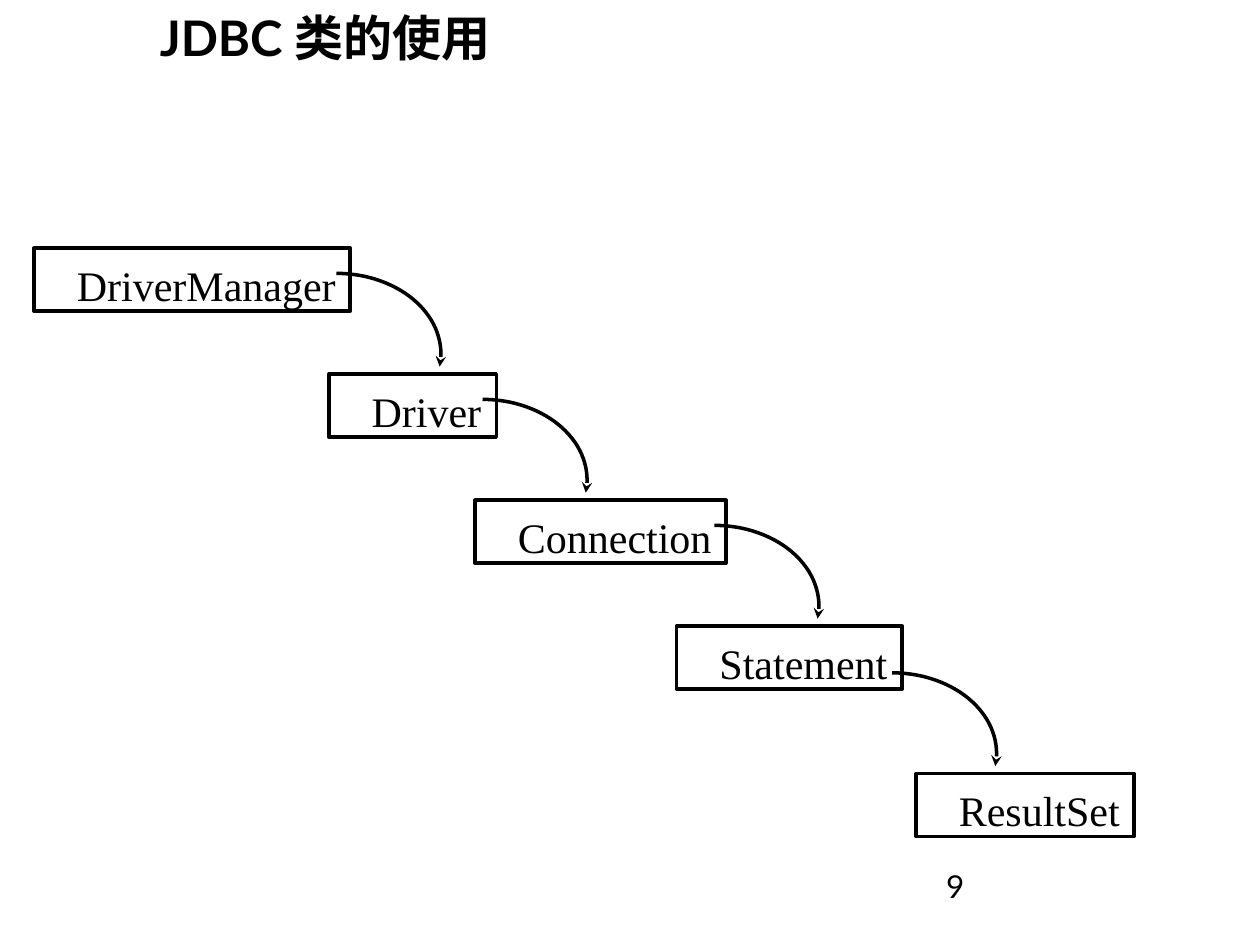
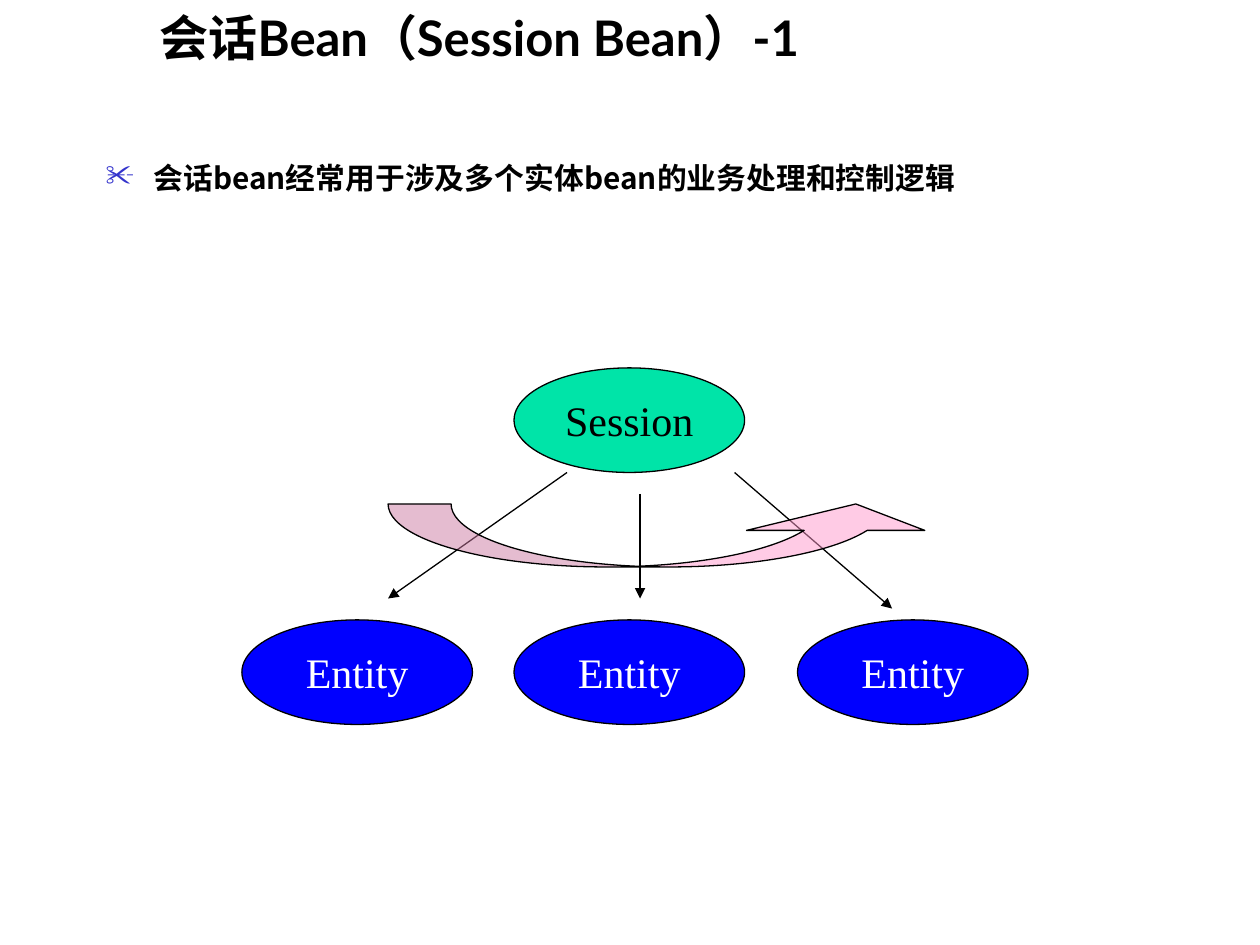
import math
from dataclasses import dataclass

import pptx
import pptx.dml.color
import pptx.enum.shapes
import pptx.enum.text
import pptx.oxml.ns
import pptx.oxml.xmlchemy
import pptx.util
from pptx.util import Inches

SHAPE = pptx.enum.shapes.MSO_SHAPE
ANCHOR = pptx.enum.text.MSO_ANCHOR
ALIGN = pptx.enum.text.PP_ALIGN


@dataclass(frozen=True)
class Theme:
    ink: str = "000000"
    paper: str = "FFFFFF"
    bullet: str = "3333CC"
    session: str = "00E4A8"
    entity: str = "0000FF"
    swoosh: str = "FF99CC"
    heading_font: str = "Lato"
    asian_font: str = "Noto Sans CJK SC"
    diagram_font: str = "Times New Roman"
    title_size: float = 28
    body_size: float = 17
    label_size: float = 24
    number_size: float = 18
    thin: float = 0.75
    thick: float = 2


THEME = Theme()


def color(code):
    return pptx.dml.color.RGBColor.from_string(code)


def add_element(parent, tag, **attributes):
    element = pptx.oxml.xmlchemy.OxmlElement(tag)
    for name, value in attributes.items():
        element.set(name, value)
    parent.append(element)
    return element


def write(shape, text, size, font, ink=THEME.ink, bold=False):
    para = shape.text_frame.paragraphs[0]
    para.text = text
    for span in para.runs:
        span.font.size = pptx.util.Pt(size)
        span.font.name = font
        span.font.bold = bold
        span.font.color.rgb = color(ink)
        add_element(span.font._element, "a:ea", typeface=THEME.asian_font)
    return para


def set_line(shape, width, head=None):
    shape.line.color.rgb = color(THEME.ink)
    shape.line.width = pptx.util.Pt(width)
    if head:
        add_element(shape.line._get_or_add_ln(), "a:tailEnd", type=head)


def set_fill(shape, code=None):
    shape.shadow.inherit = False
    if code:
        shape.fill.solid()
        shape.fill.fore_color.rgb = color(code)
    else:
        shape.fill.background()


def add_text_box(page, left, top, width, height, anchor=ANCHOR.TOP):
    box = page.shapes.add_textbox(Inches(left), Inches(top), Inches(width), Inches(height))
    box.text_frame.word_wrap = True
    box.text_frame.vertical_anchor = anchor
    return box


def add_title(page, text):
    box = add_text_box(page, 1.17, -0.33, 8.5, 1.25, ANCHOR.MIDDLE)
    write(box, text, THEME.title_size, THEME.heading_font, bold=True)


def add_page_number(page, number):
    box = add_text_box(page, 7.17, 6.83, 2.33, 0.5)
    box.text_frame.margin_left = Inches(0.34)
    write(box, number, THEME.number_size, THEME.heading_font)


def add_bullet(page, text):
    box = add_text_box(page, 0.74, 1.25, 7.64, 0.65)
    para = write(box, text, THEME.body_size, THEME.asian_font, bold=True)
    para.line_spacing = 0.9
    properties = para._p.get_or_add_pPr()
    properties.set("marL", str(Inches(0.38)))
    properties.set("indent", str(-Inches(0.38)))
    bullet_color = add_element(properties, "a:buClr")
    add_element(bullet_color, "a:srgbClr", val=THEME.bullet)
    add_element(properties, "a:buChar", char="✂")


def add_class_box(page, name, left, top, width):
    box = page.shapes.add_shape(
        SHAPE.RECTANGLE, Inches(left), Inches(top), Inches(width), Inches(0.5))
    set_fill(box)
    set_line(box, THEME.thick)
    frame = box.text_frame
    frame.word_wrap = False
    frame.vertical_anchor = ANCHOR.TOP
    frame.margin_left = Inches(0.34)
    frame.margin_top = Inches(0.09)
    write(box, name, THEME.label_size, THEME.diagram_font).alignment = ALIGN.LEFT


def add_curved_arrow(page, left, top, width=0.83, height=0.64, steps=32):
    sweep = math.radians(99)
    points = [
        (Inches(left + width * math.sin(sweep * step / steps)),
         Inches(top + height * (1 - math.cos(sweep * step / steps))))
        for step in range(steps + 1)
    ]
    builder = page.shapes.build_freeform(*points[0])
    builder.add_line_segments(points[1:], close=False)
    arrow = builder.convert_to_shape()
    set_fill(arrow)
    set_line(arrow, THEME.thick, "stealth")


def add_class_chain(page):
    classes = [
        ("DriverManager", 0.27, 1.97, 2.51),
        ("Driver", 2.61, 2.97, 1.33),
        ("Connection", 3.77, 3.97, 1.99),
        ("Statement", 5.37, 4.97, 1.79),
        ("ResultSet", 7.27, 6.14, 1.73),
    ]
    for entry in classes:
        add_class_box(page, *entry)
    arrow_lefts = [2.67, 3.83, 5.67, 7.08]
    for left, (_, _, target_top, _) in zip(arrow_lefts, classes[1:]):
        add_curved_arrow(page, left, target_top - 0.8)


def add_bean(group, name, left, top, fill, ink):
    bean = group.shapes.add_shape(
        SHAPE.OVAL, Inches(left), Inches(top), Inches(1.83), Inches(0.83))
    set_fill(bean, fill)
    set_line(bean, THEME.thin)
    bean.text_frame.word_wrap = False
    bean.text_frame.vertical_anchor = ANCHOR.MIDDLE
    write(bean, name, THEME.label_size, THEME.diagram_font, ink).alignment = ALIGN.CENTER


def add_straight_arrow(group, *ends):
    arrow = group.shapes.add_connector(
        pptx.enum.shapes.MSO_CONNECTOR.STRAIGHT, *map(Inches, ends))
    set_line(arrow, THEME.thin, "triangle")
    add_element(arrow._element.spPr, "a:effectLst")


def add_swoosh(group, left, top):
    swoosh = group.shapes.add_shape(
        SHAPE.CURVED_UP_ARROW, Inches(left), Inches(top), Inches(4.42), Inches(0.5))
    for index, value in enumerate([1.61, 2.83, 0.42]):
        swoosh.adjustments[index] = value
    set_fill(swoosh, THEME.swoosh)
    fill_color = swoosh._element.spPr.find(".//" + pptx.oxml.ns.qn("a:srgbClr"))
    add_element(fill_color, "a:alpha", val="50000")
    set_line(swoosh, THEME.thin)


def add_bean_diagram(page, left, top):
    group = page.shapes.add_group_shape()
    add_bean(group, "Session", left + 2.16, top, THEME.session, THEME.ink)
    for start_x, start_y, end_x, end_y in [
        (2.58, 0.83, 1.16, 1.83),
        (3.16, 1, 3.16, 1.83),
        (3.91, 0.83, 5.16, 1.91),
    ]:
        add_straight_arrow(
            group, left + start_x, top + start_y, left + end_x, top + end_y)
    add_swoosh(group, left + 1.16, top + 1.08)
    for offset in (0, 2.16, 4.41):
        add_bean(group, "Entity", left + offset, top + 2, THEME.entity, THEME.paper)


def build_jdbc_page(page):
    add_page_number(page, "9")
    add_title(page, "JDBC 类的使用")
    add_class_chain(page)


def build_session_page(page):
    add_bullet(page, "会话bean经常用于涉及多个实体bean的业务处理和控制逻辑")
    add_bean_diagram(page, 1.92, 2.92)
    add_title(page, "会话Bean（Session Bean）-1")


def main():
    deck = pptx.Presentation()
    deck.slide_width = Inches(10)
    deck.slide_height = Inches(7.5)
    for build in (build_jdbc_page, build_session_page):
        page = deck.slides.add_slide(deck.slide_layouts[6])
        page.background.fill.solid()
        page.background.fill.fore_color.rgb = color(THEME.paper)
        build(page)
    deck.save("out.pptx")


if __name__ == "__main__":
    main()
